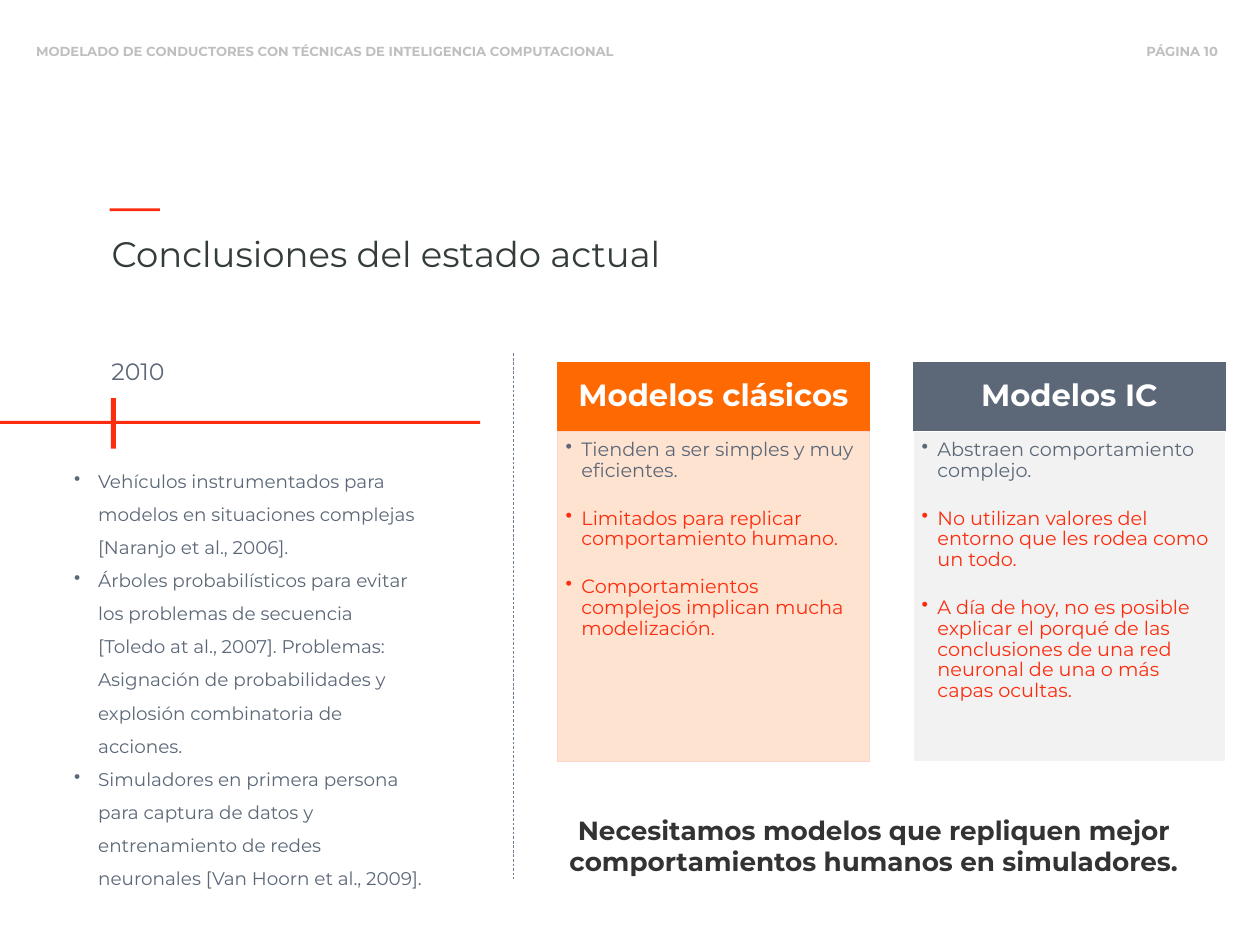
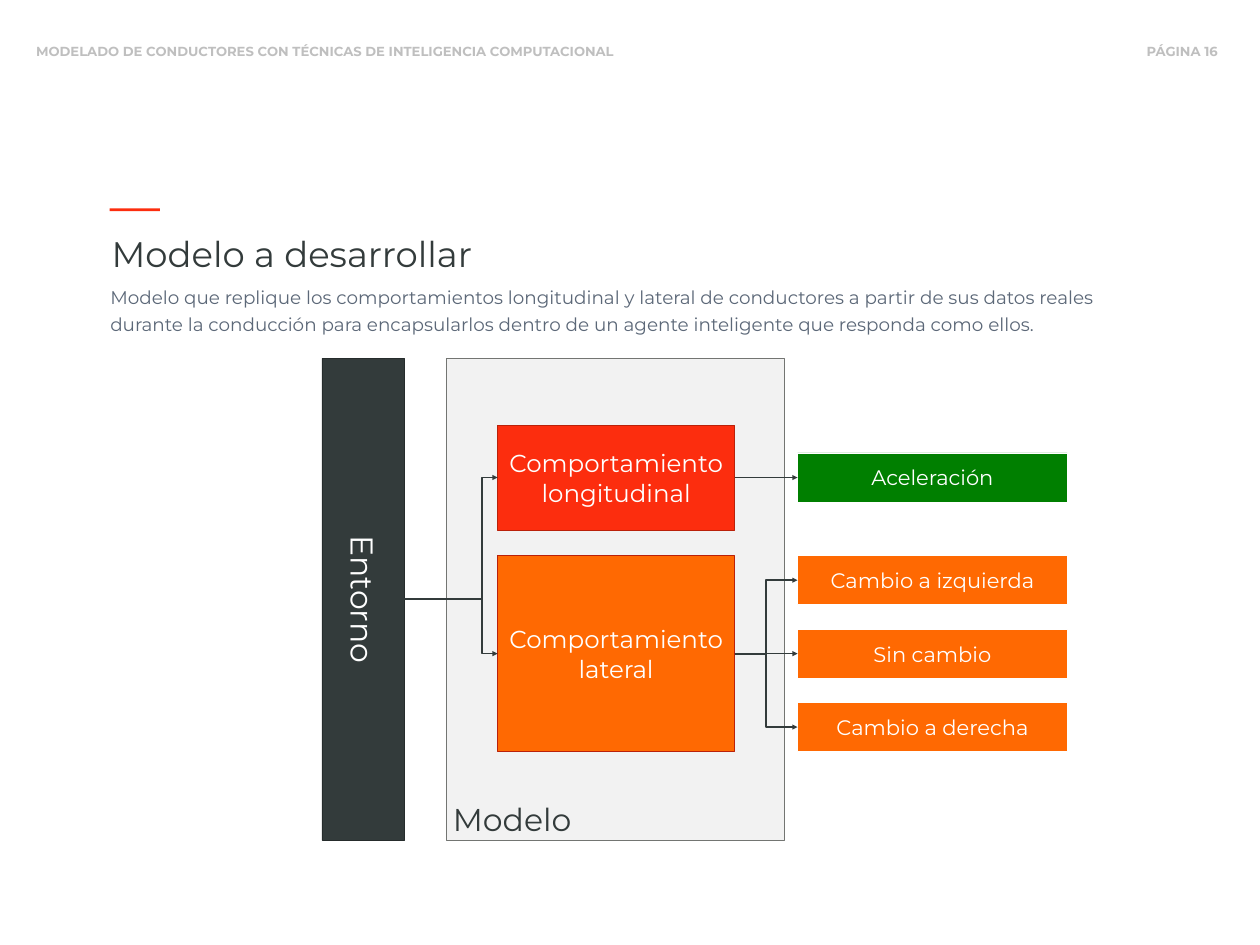
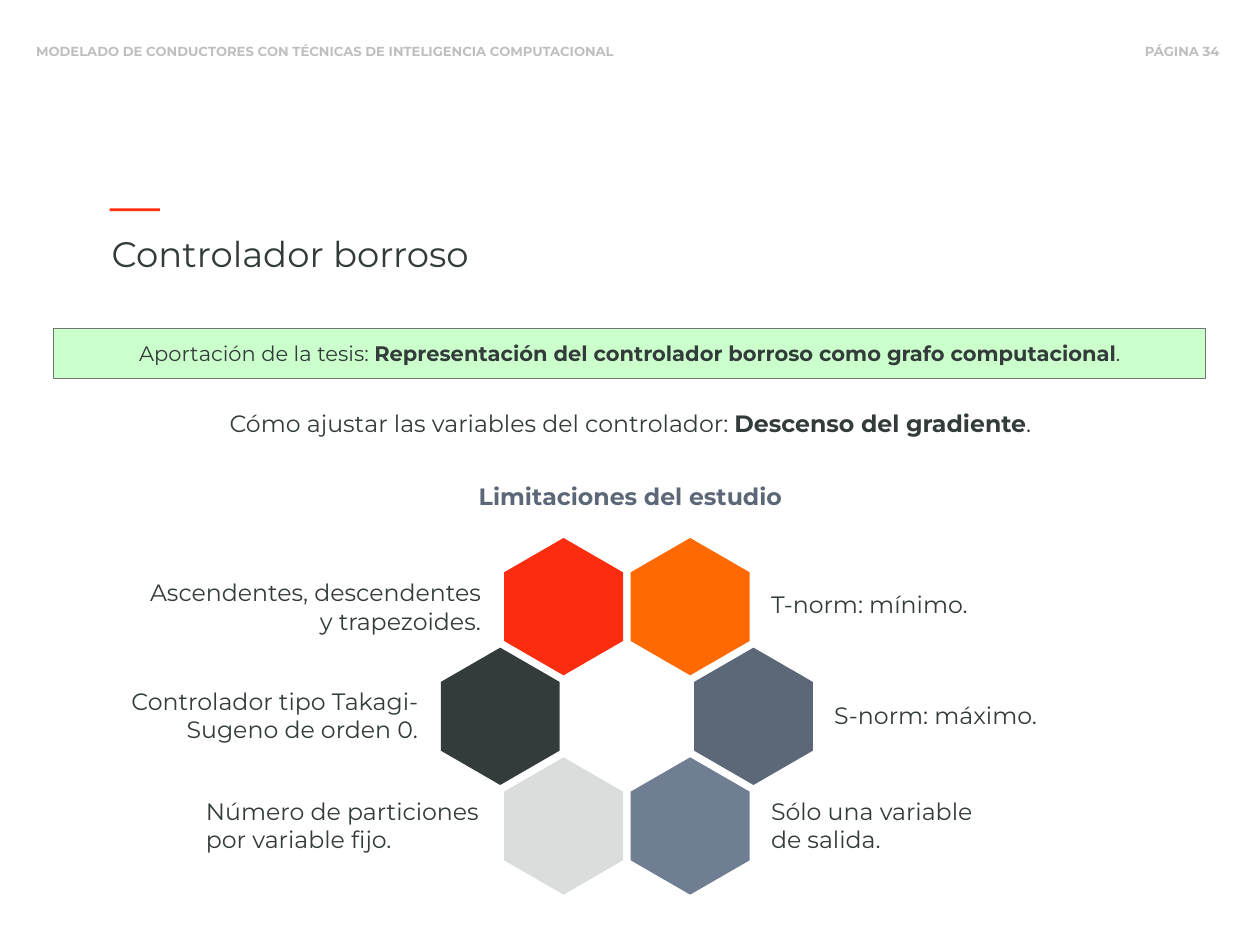
from dataclasses import dataclass
from math import cos, radians, sin
from typing import NamedTuple, Optional, Union

from lxml import etree
from pptx import Presentation
from pptx.dml.color import RGBColor
from pptx.enum.dml import MSO_LINE
from pptx.enum.shapes import MSO_CONNECTOR, MSO_SHAPE
from pptx.enum.text import MSO_ANCHOR, MSO_AUTO_SIZE, PP_ALIGN
from pptx.oxml.ns import qn
from pptx.util import Inches, Length, Pt

# Enum members
RECT = MSO_SHAPE.RECTANGLE
ELBOW, STRAIGHT = MSO_CONNECTOR.ELBOW, MSO_CONNECTOR.STRAIGHT
LEFT, MID, RIGHT = PP_ALIGN.LEFT, PP_ALIGN.CENTER, PP_ALIGN.RIGHT
TOP, CENTER, BOTTOM = MSO_ANCHOR.TOP, MSO_ANCHOR.MIDDLE, MSO_ANCHOR.BOTTOM
DASH, FIXED = MSO_LINE.DASH, MSO_AUTO_SIZE.NONE

# Colours and font
FONT = "Montserrat"
WHITE = RGBColor(0xFF, 0xFF, 0xFF)
RED = RGBColor(0xFC, 0x2D, 0x0E)
BRICK = RGBColor(0xBA, 0x21, 0x0A)
ORANGE = RGBColor(0xFF, 0x69, 0x02)
PEACH = RGBColor(0xFF, 0xE1, 0xCC)
ROSE = RGBColor(0xFF, 0xD4, 0xCC)
GREEN = RGBColor(0x00, 0x7F, 0x00)
MINT = RGBColor(0xCB, 0xFF, 0xCB)
INK = RGBColor(0x33, 0x3B, 0x3B)
BLACK = RGBColor(0x26, 0x2C, 0x2C)
COAL = RGBColor(0x33, 0x33, 0x33)
SLATE = RGBColor(0x5C, 0x68, 0x78)
STEEL = RGBColor(0x6F, 0x7E, 0x92)
GRAY = RGBColor(0x73, 0x75, 0x72)
SILVER = RGBColor(0xBF, 0xBF, 0xBF)
ASH = RGBColor(0xDB, 0xDD, 0xDD)
PALE = RGBColor(0xF2, 0xF2, 0xF2)

TOPIC = "MODELADO DE CONDUCTORES CON TÉCNICAS DE INTELIGENCIA COMPUTACIONAL"


class Box(NamedTuple):
    x: float
    y: float
    w: float
    h: float

    def emu(self) -> list[Length]:
        return [Inches(side) for side in self]


class Run(NamedTuple):
    text: str
    size: float
    color: RGBColor = INK
    bold: bool = False


@dataclass
class Para:
    runs: list[Run]
    align: PP_ALIGN = LEFT
    space: Optional[Union[float, Length]] = None
    after: float = 0
    hang: float = 0


@dataclass
class Card:
    x: float
    title: str
    color: RGBColor
    fill: RGBColor
    edge: RGBColor
    width: float
    alpha: int
    good: str
    bad: list[str]


class Block(NamedTuple):
    box: Box
    lines: list[str]
    size: float
    fill: RGBColor
    edge: RGBColor


class Note(NamedTuple):
    box: Box
    text: str
    align: PP_ALIGN


# Text helpers
def write(frame, paras: list[Para], anchor=TOP, pad=(0.1, 0.05, 0.1, 0.05),
          wrap: bool = True) -> None:
    frame.auto_size = FIXED
    frame.word_wrap = wrap
    frame.vertical_anchor = anchor
    (frame.margin_left, frame.margin_top,
     frame.margin_right, frame.margin_bottom) = (Inches(side) for side in pad)
    for i, para in enumerate(paras):
        line = frame.add_paragraph() if i else frame.paragraphs[0]
        if para.hang:
            props = line._p.get_or_add_pPr()
            props.set("marL", str(Inches(para.hang)))
            props.set("indent", str(-Inches(para.hang)))
            etree.SubElement(props, qn("a:buChar")).set("char", "•")
        line.alignment = para.align
        if para.space:
            line.line_spacing = para.space
        if para.after and i < len(paras) - 1:
            line.space_after = Pt(para.after)
        for part in para.runs:
            run = line.add_run()
            run.text = part.text
            run.font.name = FONT
            run.font.size = Pt(part.size)
            run.font.bold = part.bold
            run.font.color.rgb = part.color


def label(slide, box: Box, paras: list[Para], **style) -> None:
    write(slide.shapes.add_textbox(*box.emu()).text_frame, paras, **style)


# Shape helpers
def paint(shape, fill: RGBColor, edge: Optional[RGBColor] = None,
          width: float = 1) -> None:
    shape.shadow.inherit = False
    shape.fill.solid()
    shape.fill.fore_color.rgb = fill
    if edge is None:
        shape.line.fill.background()
    else:
        shape.line.color.rgb = edge
        shape.line.width = Pt(width)


def rect(slide, box: Box, fill: RGBColor, edge: Optional[RGBColor] = None,
         width: float = 1):
    shape = slide.shapes.add_shape(RECT, *box.emu())
    paint(shape, fill, edge, width)
    return shape


def fade(shape, percent: int) -> None:
    color = shape.fill._xPr.find(qn("a:solidFill"))[0]
    etree.SubElement(color, qn("a:alpha")).set("val", str(percent * 1000))


def link(slide, kind, start: tuple[float, float], end: tuple[float, float],
         color: RGBColor, width: float):
    ends = [Inches(value) for value in (*start, *end)]
    line = slide.shapes.add_connector(kind, *ends)
    line.line.color.rgb = color
    line.line.width = Pt(width)
    etree.SubElement(line._element.spPr, qn("a:effectLst"))
    return line


def arrow(slide, start: tuple[float, float], end: tuple[float, float],
          bend: float = 0.5) -> None:
    kind = STRAIGHT if start[1] == end[1] else ELBOW
    line = link(slide, kind, start, end, INK, 2)
    etree.SubElement(line.line._get_or_add_ln(), qn("a:tailEnd")).set("type", "triangle")
    if kind == ELBOW:
        geom = line._element.spPr.find(qn("a:prstGeom"))
        guide = etree.SubElement(geom.find(qn("a:avLst")), qn("a:gd"))
        guide.set("name", "adj1")
        guide.set("fmla", f"val {round(bend * 100000)}")


def hexagon(slide, x: float, y: float, radius: float, fill: RGBColor) -> None:
    dots = [(Inches(x + radius * cos(radians(a))), Inches(y + radius * sin(radians(a))))
            for a in range(30, 390, 60)]
    path = slide.shapes.build_freeform(*dots[0])
    path.add_line_segments(dots[1:], close=True)
    paint(path.convert_to_shape(), fill)


# Shared frame: header, accent bar and title
def start(deck, title: str, page: int):
    slide = deck.slides.add_slide(deck.slide_layouts[5])
    for box, text in ((Box(17.94, 0.61, 1.65, 0.4), f"PÁGINA {page}"),
                      (Box(0.36, 0.61, 9.6, 0.4), TOPIC)):
        label(slide, box, [Para([Run(text, 15, SILVER, True)], MID)],
              pad=(0.15, 0.08, 0.15, 0.08), wrap=False)
    rect(slide, Box(1.74, 3.31, 0.8, 0.04), RED)
    head = slide.shapes.title
    head.left, head.top, head.width, head.height = Box(1.67, 3.63, 16.5, 0.78).emu()
    write(head.text_frame, [Para([Run(title, 40.5)])])
    return slide


# Slide: conclusions
WORKS = [
    "Vehículos instrumentados para modelos en situaciones complejas "
    "[Naranjo et al., 2006].",
    "Árboles probabilísticos para evitar los problemas de secuencia "
    "[Toledo at al., 2007]. Problemas: Asignación de probabilidades y "
    "explosión combinatoria de acciones.",
    "Simuladores en primera persona para captura de datos y entrenamiento "
    "de redes neuronales [Van Hoorn et al., 2009].",
]
CARDS = [
    Card(8.85, "Modelos clásicos", ORANGE, PEACH, ROSE, 1, 90,
         "Tienden a ser simples y muy eficientes.",
         ["Limitados para replicar comportamiento humano.",
          "Comportamientos complejos implican mucha modelización."]),
    Card(14.5, "Modelos IC", SLATE, PALE, WHITE, 1.5, 100,
         "Abstraen comportamiento complejo.",
         ["No utilizan valores del entorno que les rodea como un todo.",
          "A día de hoy, no es posible explicar el porqué de las conclusiones "
          "de una red neuronal de una o más capas ocultas."]),
]


def draw(slide, card: Card) -> None:
    head = rect(slide, Box(card.x, 5.75, 4.95, 1.1), card.color, card.color)
    write(head.text_frame, [Para([Run(card.title, 35, WHITE, True)], MID, 0.9)],
          CENTER, (0.27, 0.16, 0.27, 0.16))
    body = rect(slide, Box(card.x, 6.85, 4.95, 5.24), card.fill, card.edge, card.width)
    if card.alpha < 100:
        fade(body, card.alpha)
    runs = [Run(card.good, 22, SLATE)] + [Run(text, 22, RED) for text in card.bad]
    write(body.text_frame, [Para([run], LEFT, 0.9, 31, 0.25) for run in runs],
          TOP, (0.13, 0.13, 0.17, 0.19))


def review(deck) -> None:
    slide = start(deck, "Conclusiones del estado actual", 10)
    # Timeline
    label(slide, Box(1.67, 5.61, 2.29, 0.56), [Para([Run("2010", 27, SLATE)])])
    rect(slide, Box(0, 6.68, 7.62, 0.05), RED)
    rect(slide, Box(1.76, 6.32, 0.08, 0.8), RED)
    label(slide, Box(1.08, 7.24, 5.75, 6.41),
          [Para([Run(text, 21, SLATE)], space=1.5, hang=0.38) for text in WORKS])
    link(slide, STRAIGHT, (8.15, 5.61), (8.15, 13.96), STEEL, 0.75).line.dash_style = DASH
    # Comparison
    for card in CARDS:
        draw(slide, card)
    claim = ("Necesitamos modelos que repliquen mejor "
             "comportamientos humanos en simuladores.")
    label(slide, Box(8.82, 12.87, 10.1, 1.11), [Para([Run(claim, 30, COAL, True)], MID)])


# Slide: model
GOAL = ("Modelo que replique los comportamientos longitudinal y lateral de "
        "conductores a partir de sus datos reales durante la conducción para "
        "encapsularlos dentro de un agente inteligente que responda como ellos.")
PARTS = [
    Block(Box(7.9, 6.75, 3.76, 1.67), ["Comportamiento longitudinal"], 28, RED, BRICK),
    Block(Box(7.9, 8.82, 3.76, 3.11), ["Comportamiento", "lateral"], 28, ORANGE, BRICK),
]
SPEED = Block(Box(12.66, 7.19, 4.28, 0.78), ["Aceleración"], 24, GREEN, WHITE)
TURNS = [
    Block(Box(12.66, 8.82 + 1.165 * i, 4.28, 0.78), [text], 24, ORANGE, WHITE)
    for i, text in enumerate(["Cambio a izquierda", "Sin cambio", "Cambio a derecha"])
]


def place(slide, block: Block):
    shape = rect(slide, block.box, block.fill, block.edge)
    write(shape.text_frame,
          [Para([Run(text, block.size, WHITE)], MID) for text in block.lines], CENTER)
    return shape


def model(deck) -> None:
    slide = start(deck, "Modelo a desarrollar", 16)
    label(slide, Box(1.57, 4.38, 17.19, 1.01),
          [Para([Run(GOAL, 21, SLATE)], space=Pt(30.6))], pad=(0.18, 0.09, 0.18, 0.09))
    # Blocks
    panel = rect(slide, Box(7.09, 5.69, 5.36, 7.65), PALE, GRAY)
    write(panel.text_frame, [Para([Run("Modelo", 36)])], BOTTOM)
    world = Block(Box(1.94, 8.86, 7.65, 1.31), ["Entorno"], 36, INK, BLACK)
    place(slide, world).rotation = 90
    for block in [*PARTS, SPEED, *TURNS]:
        place(slide, block)
    # Arrows
    along, side = 7.58, 10.375
    for y in (along, side):
        arrow(slide, (6.42, 9.51), (7.9, y), 0.83)
    arrow(slide, (11.66, along), (12.66, along))
    for turn in TURNS:
        arrow(slide, (11.66, side), (12.66, turn.box.y + turn.box.h / 2))


# Slide: fuzzy controller
HEXES = [SLATE, STEEL, ASH, INK, RED, ORANGE]
NOTES = [
    Note(Box(12.14, 9.32, 5.12, 0.56), "T-norm: mínimo.", LEFT),
    Note(Box(13.14, 11.08, 5.12, 0.56), "S-norm: máximo.", LEFT),
    Note(Box(12.14, 12.6, 3.69, 1.01), "Sólo una variable de salida.", LEFT),
    Note(Box(2.17, 9.13, 5.56, 1.01), "Ascendentes, descendentes y trapezoides.", RIGHT),
    Note(Box(1.74, 10.85, 4.99, 1.01), "Controlador tipo Takagi-Sugeno de orden 0.", RIGHT),
    Note(Box(3.17, 12.6, 4.56, 1.01), "Número de particiones por variable fijo.", LEFT),
]


def stress(lead: str, key: str, size: float) -> list[Para]:
    return [Para([Run(lead, size), Run(key, size, bold=True), Run(".", size)], MID)]


def fuzzy(deck) -> None:
    slide = start(deck, "Controlador borroso", 34)
    # Statements
    band = rect(slide, Box(0.85, 5.21, 18.29, 0.8), MINT, GRAY)
    write(band.text_frame,
          stress("Aportación de la tesis: ",
                 "Representación del controlador borroso como grafo computacional", 24),
          CENTER)
    label(slide, Box(0.71, 6.44, 18.59, 0.56),
          stress("Cómo ajustar las variables del controlador: ",
                 "Descenso del gradiente", 27))
    label(slide, Box(0.71, 7.6, 18.59, 0.56),
          [Para([Run("Limitaciones del estudio", 27, SLATE, True)], MID)])
    # Ring of hexagons, clockwise from the right
    for i, fill in enumerate(HEXES):
        turn = radians(60 * i)
        hexagon(slide, 9.95 + 2.01 * cos(turn), 11.37 + 2.01 * sin(turn), 1.09, fill)
    for note in NOTES:
        label(slide, note.box, [Para([Run(note.text, 27)], note.align)])


def main() -> None:
    deck = Presentation()
    deck.slide_width, deck.slide_height = Inches(20), Inches(15)
    review(deck)
    model(deck)
    fuzzy(deck)
    deck.save("out.pptx")


if __name__ == "__main__":
    main()
